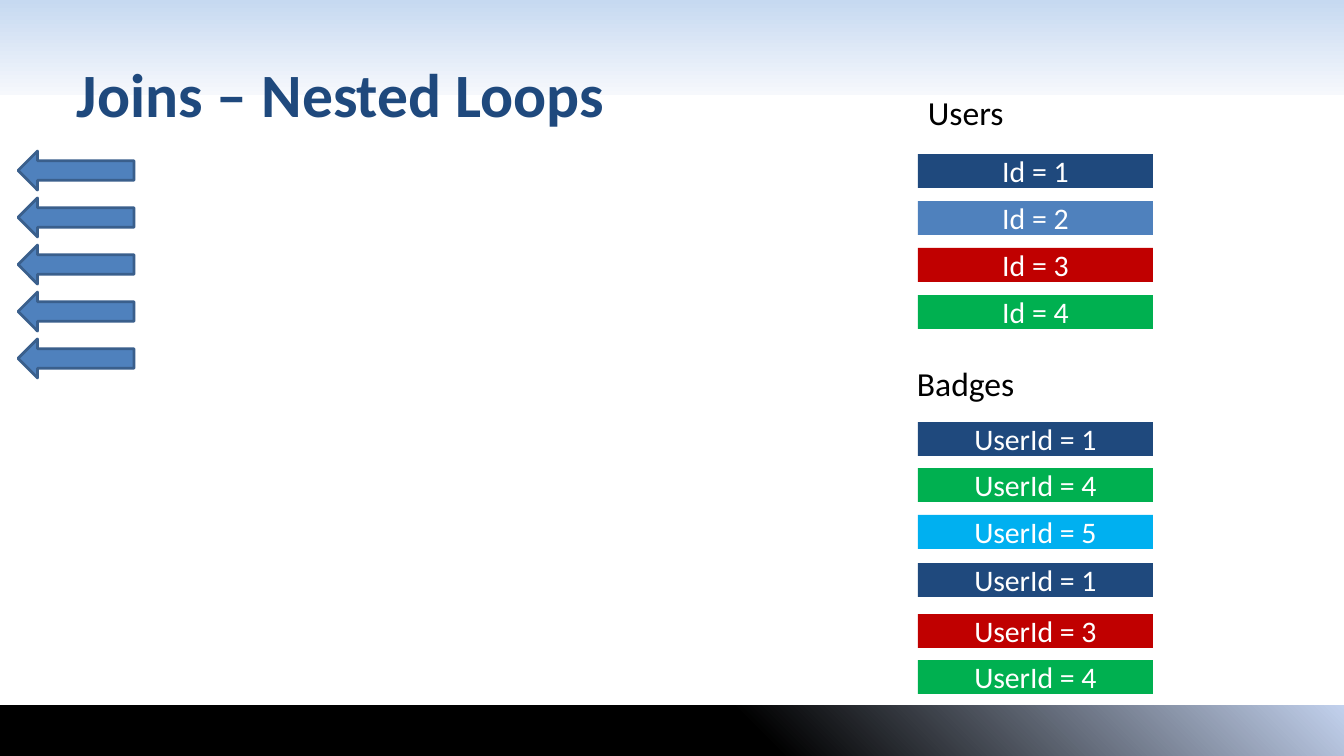
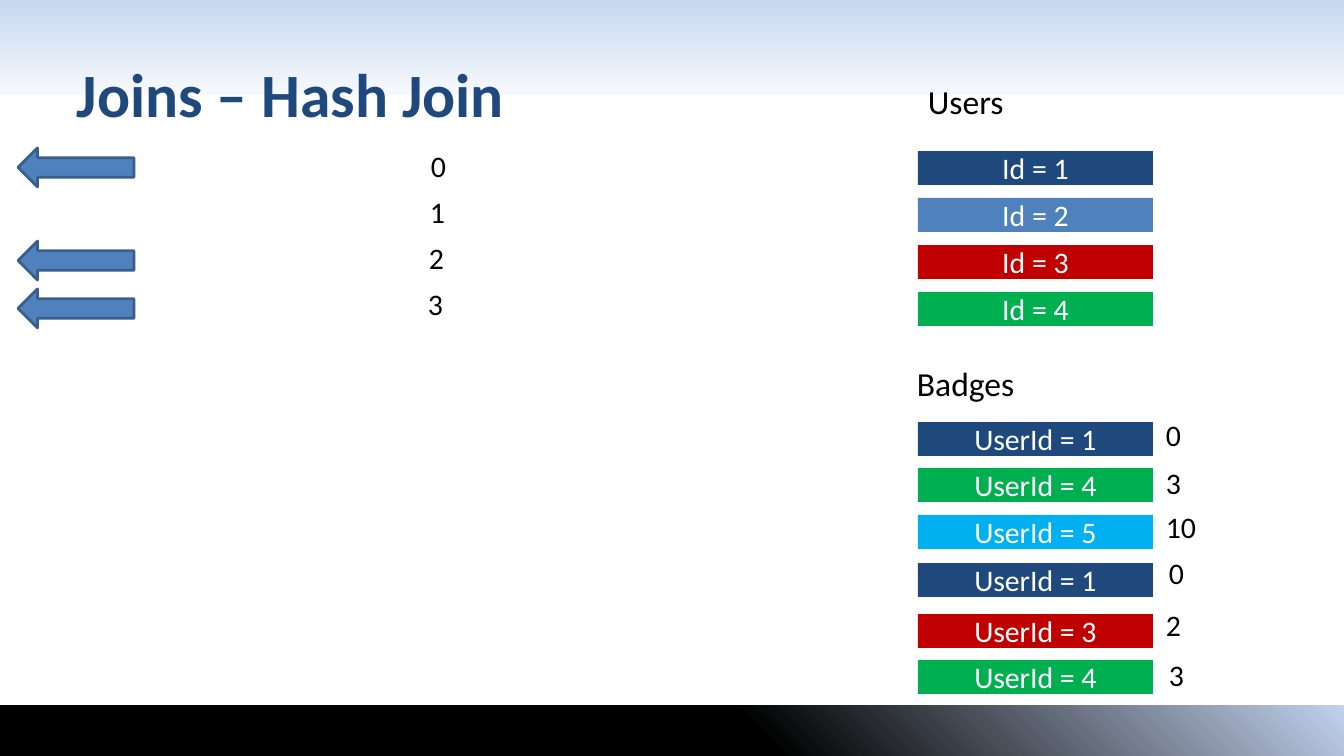
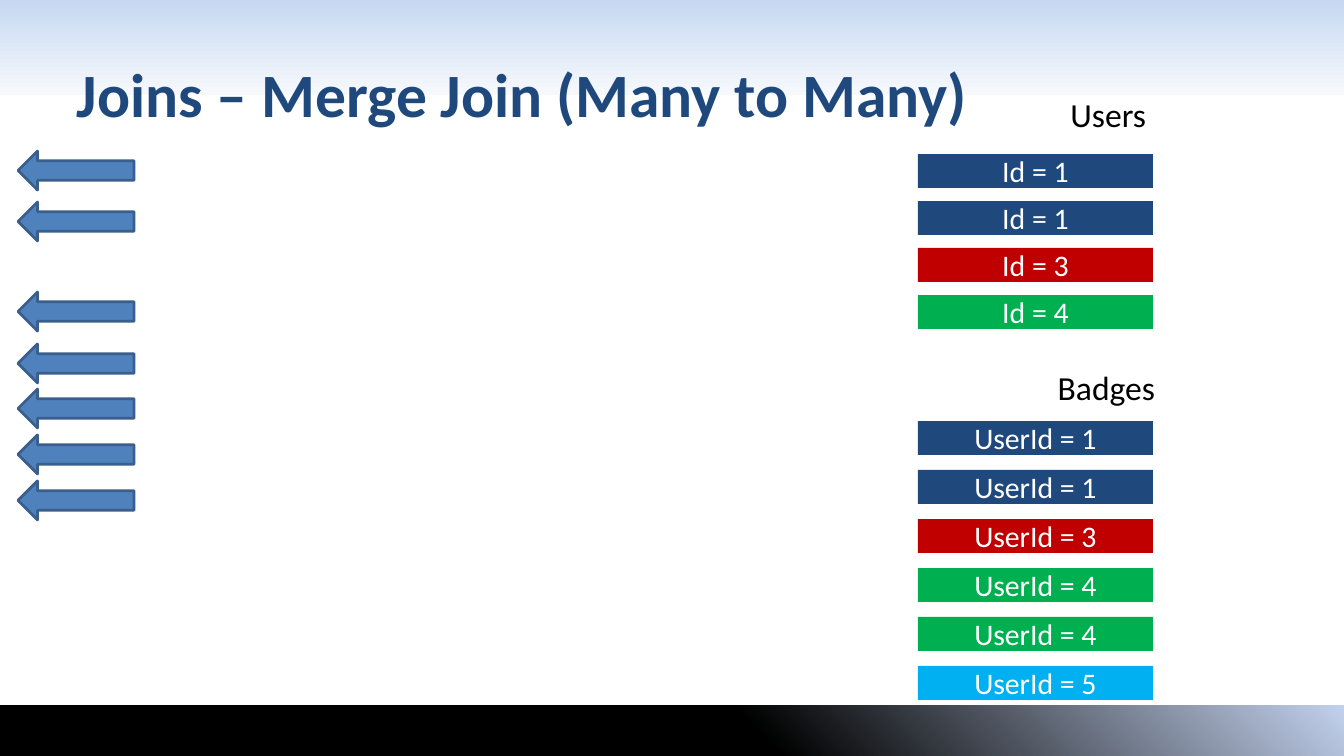
"""Build three slides that compare join algorithms on two small tables."""
from dataclasses import dataclass

from pptx import Presentation
from pptx.dml.color import RGBColor
from pptx.enum.shapes import MSO_SHAPE as Shape
from pptx.enum.text import MSO_ANCHOR as Anchor, PP_ALIGN as Align
from pptx.util import Emu, Pt

SLIDE_WIDTH, SLIDE_HEIGHT = 1344, 756
SCALE = 12192000 / SLIDE_WIDTH


def px(length):
    """Turn a length in px into EMU."""
    return Emu(round(length * SCALE))


def style(target, values):
    """Set each named attribute of the target."""
    for name, value in values.items():
        setattr(target, name, value)


@dataclass(frozen=True)
class Theme:
    """Colours, font and type sizes of the deck."""
    font: str = "Calibri"
    title_size: float = 44
    label_size: float = 24
    row_size: float = 21.3
    arrow_line: float = 2
    navy: str = "1F497D"
    blue: str = "4F81BD"
    red: str = "C00000"
    green: str = "00B050"
    sky: str = "00B0F0"
    outline: str = "3A5F8C"
    black: str = "000000"
    white: str = "FFFFFF"
    header: tuple = ("C6D9F1", "F6F8FC")
    footer: tuple = ("000000", "C2D1ED")

    def id_colour(self, number):
        """Give the colour that marks a user id."""
        return (self.navy, self.blue, self.red, self.green, self.sky)[number - 1]


class JoinDeck:
    """Hold the theme and the current page, and draw each kind of element."""

    def __init__(self, theme):
        """Start an empty deck."""
        self.theme = theme
        self.deck = Presentation()
        style(self.deck, {"slide_width": px(SLIDE_WIDTH), "slide_height": px(SLIDE_HEIGHT)})
        self.page = None

    def add_page(self, title):
        """Add a page with its bands and title."""
        self.page = self.deck.slides.add_slide(self.deck.slide_layouts[6])
        self.band(0, 95, self.theme.header, 0, 270)
        self.band(705, 51, self.theme.footer, 0.56, 45)
        self.text(title, (67, 30, 1210, 126), self.theme.title_size,
                  colour=self.theme.navy, bold=True, anchor=Anchor.MIDDLE)

    def shape(self, kind, area):
        """Add a preset shape without shadow or outline."""
        box = self.page.shapes.add_shape(kind, *map(px, area))
        box.shadow.inherit = False
        box.line.fill.background()
        return box

    def solid(self, kind, area, colour):
        """Add a preset shape in one colour."""
        box = self.shape(kind, area)
        box.fill.solid()
        box.fill.fore_color.rgb = RGBColor.from_string(colour)
        return box

    def band(self, top, height, colours, start, angle):
        """Add a full-width gradient band."""
        fill = self.shape(Shape.RECTANGLE, (0, top, SLIDE_WIDTH, height)).fill
        fill.gradient()
        fill.gradient_angle = angle
        for stop, colour, position in zip(fill.gradient_stops, colours, (start, 1)):
            stop.color.rgb = RGBColor.from_string(colour)
            stop.position = position

    def fill_text(self, box, words, size, colour, bold=False, align=Align.LEFT, **frame_format):
        """Put one styled paragraph into a box."""
        frame = box.text_frame
        style(frame, {"word_wrap": True, **frame_format})
        para = frame.paragraphs[0]
        para.alignment = align
        span = para.add_run()
        span.text = words
        style(span.font, {"name": self.theme.font, "size": Pt(size), "bold": bold})
        span.font.color.rgb = RGBColor.from_string(colour)

    def text(self, words, area, size, colour=None, bold=False, align=Align.LEFT, anchor=Anchor.TOP):
        """Add a text box."""
        box = self.page.shapes.add_textbox(*map(px, area))
        self.fill_text(box, words, size, colour or self.theme.black, bold, align,
                       vertical_anchor=anchor)

    def label(self, words, left, top, align=Align.LEFT):
        """Add the name of a table."""
        self.text(words, (left, top, 191, 50), self.theme.label_size, align=align)

    def number(self, value, left, top):
        """Add a hash value."""
        self.text(str(value), (left, top, 145, 46), self.theme.row_size)

    def rows(self, field, ids, tops):
        """Add a column of table rows coloured by id."""
        for number, top in zip(ids, tops):
            box = self.solid(Shape.RECTANGLE, (918, top, 235, 34), self.theme.id_colour(number))
            self.fill_text(box, f"{field} = {number}", self.theme.row_size, self.theme.white,
                           align=Align.CENTER, vertical_anchor=Anchor.MIDDLE,
                           margin_left=px(13), margin_right=px(13),
                           margin_top=px(7), margin_bottom=px(7))

    def arrows(self, tops):
        """Add a column of arrows that point left."""
        for top in tops:
            arrow = self.solid(Shape.LEFT_ARROW, (18, top, 116, 39), self.theme.blue)
            arrow.line.color.rgb = RGBColor.from_string(self.theme.outline)
            arrow.line.width = Pt(self.theme.arrow_line)


def steps(start, step, count):
    """Give evenly spaced positions."""
    return [start + step * index for index in range(count)]


def main():
    """Build and save the deck."""
    joins = JoinDeck(Theme())
    user_ids, badge_ids = (1, 2, 3, 4), (1, 4, 5, 1, 3, 4)
    badge_tops = (422, 468, 515, 563, 614, 660)
    user_tops = steps(154, 47, 4)
    merge_tops = steps(421, 49, 6)
    pages = [
        ("Joins – Nested Loops", user_ids, user_tops, badge_ids, badge_tops,
         (918, 87), (907, 358), Align.LEFT, steps(151, 47, 5)),
        ("Joins – Hash Join", user_ids, [top - 3 for top in user_tops], badge_ids, badge_tops,
         (918, 76), (907, 358), Align.LEFT, (148, 241, 289)),
        ("Joins – Merge Join (Many to Many)", (1, 1, 3, 4), user_tops, (1, 1, 3, 4, 4, 5),
         merge_tops, (965, 89), (974, 362), Align.RIGHT, (151, 202, 292, 344, 389, 435, 481)),
    ]
    for title, users, users_at, badges, badges_at, users_name, badges_name, align, arrows in pages:
        joins.add_page(title)
        joins.rows("Id", users, users_at)
        joins.rows("UserId", badges, badges_at)
        joins.label("Users", *users_name, align)
        joins.label("Badges", *badges_name, align)
        joins.arrows(arrows)

    joins.page = joins.deck.slides[1]
    for bucket, top in enumerate(steps(143, 46, 4)):
        joins.number(bucket, 421 - bucket, top)
    hashes = ((0, 1156, 412), (3, 1156, 460), (10, 1156, 504),
              (0, 1159, 550), (2, 1156, 602), (3, 1159, 652))
    for value, left, top in hashes:
        joins.number(value, left, top)
    joins.deck.save("out.pptx")


if __name__ == "__main__":
    main()
